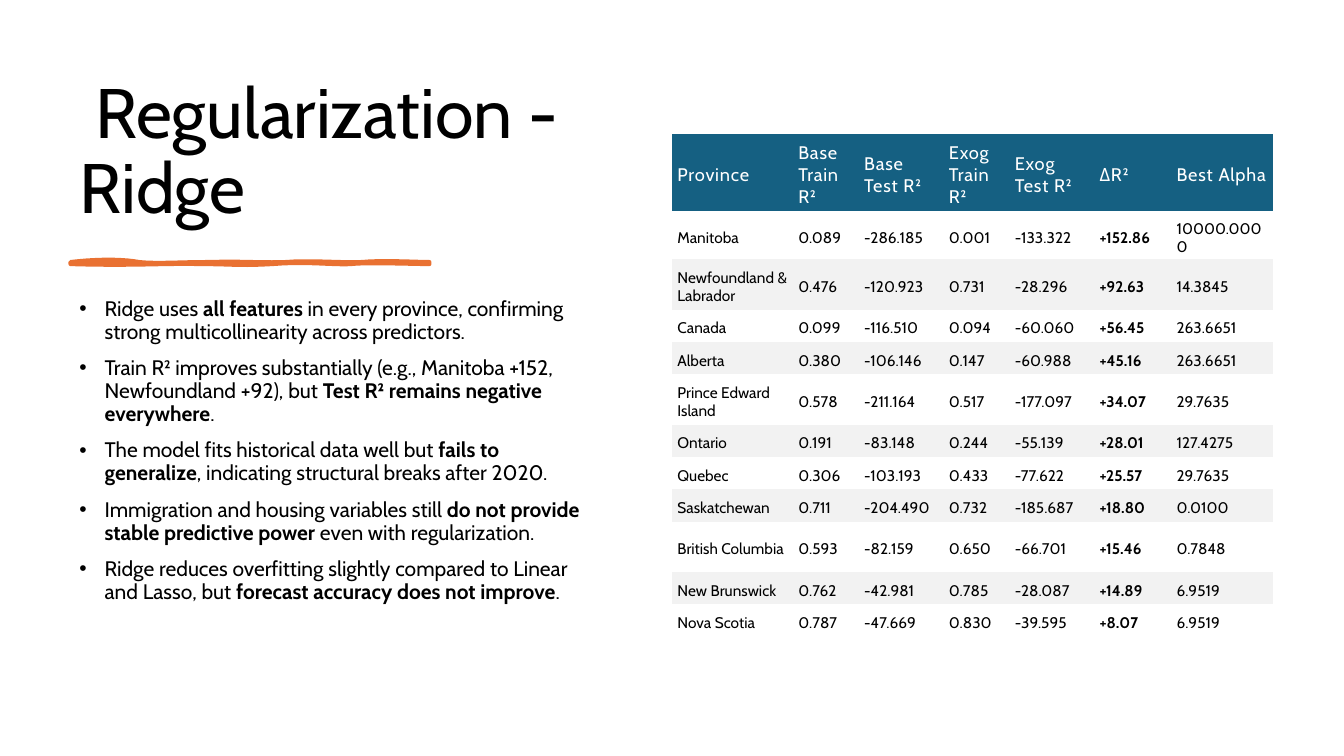
from pptx import Presentation
from pptx.dml.color import RGBColor
from pptx.enum.text import MSO_ANCHOR as Anchor
from pptx.oxml.ns import qn
from pptx.util import Pt

FONT = "Cabin"
BLACK = RGBColor(0x00, 0x00, 0x00)
WHITE = RGBColor(0xFF, 0xFF, 0xFF)
ORANGE = RGBColor(0xE9, 0x71, 0x32)
TEAL = RGBColor(0x15, 0x60, 0x82)
BAND_GREY = RGBColor(0xF2, 0xF2, 0xF2)
PLAIN_TABLE_STYLE = "{2D5ABB26-0587-4C30-8999-92F81FD0307C}"

TITLE = " Regularization - Ridge"

FINDINGS = [
    ("Ridge uses ", "all features",
     " in every province, confirming strong multicollinearity across predictors."),
    ("Train R² improves substantially (e.g., Manitoba +152, Newfoundland +92), but ",
     "Test R² remains negative everywhere", "."),
    ("The model fits historical data well but ", "fails to generalize",
     ", indicating structural breaks after 2020."),
    ("Immigration and housing variables still ", "do not provide stable predictive power",
     " even with regularization."),
    ("Ridge reduces overfitting slightly compared to Linear and Lasso, but ",
     "forecast accuracy does not improve", "."),
]

SCORES = [
    ("Province", "Base Train R²", "Base Test R²", "Exog Train R²", "Exog Test R²", "ΔR²", "Best Alpha"),
    ("Manitoba", "0.089", "-286.185", "0.001", "-133.322", "+152.86", "10000.0000"),
    ("Newfoundland & Labrador", "0.476", "-120.923", "0.731", "-28.296", "+92.63", "14.3845"),
    ("Canada", "0.099", "-116.510", "0.094", "-60.060", "+56.45", "263.6651"),
    ("Alberta", "0.380", "-106.146", "0.147", "-60.988", "+45.16", "263.6651"),
    ("Prince Edward Island", "0.578", "-211.164", "0.517", "-177.097", "+34.07", "29.7635"),
    ("Ontario", "0.191", "-83.148", "0.244", "-55.139", "+28.01", "127.4275"),
    ("Quebec", "0.306", "-103.193", "0.433", "-77.622", "+25.57", "29.7635"),
    ("Saskatchewan", "0.711", "-204.490", "0.732", "-185.687", "+18.80", "0.0100"),
    ("British Columbia", "0.593", "-82.159", "0.650", "-66.701", "+15.46", "0.7848"),
    ("New Brunswick", "0.762", "-42.981", "0.785", "-28.087", "+14.89", "6.9519"),
    ("Nova Scotia", "0.787", "-47.669", "0.830", "-39.595", "+8.07", "6.9519"),
]
COLUMN_WIDTHS = (86.4, 47, 60.6, 47, 60.6, 55, 73)
HEADER_HEIGHT, ROW_HEIGHT, TALL_HEIGHT = 55.2, 23.1, 36
TALL_PROVINCES = ("Newfoundland & Labrador", "Prince Edward Island", "British Columbia")
DELTA_COLUMN = SCORES[0].index("ΔR²")

BRUSH_START = (50.4, 187.2)
BRUSH_CURVES = [
    ((69.8, 185), (87.1, 185), (99.4, 187.2)),
    ((111.6, 188.6), (127.4, 187.2), (150.5, 187.2)),
    ((173.5, 186.5), (187.2, 187.9), (204.5, 187.2)),
    ((221.8, 185.8), (244.1, 187.9), (258.5, 187.2)),
    ((272.9, 185.8), (296.6, 187.2), (306.7, 187.2)),
    ((306.7, 187.2), (306.7, 187.9), (306.7, 188.6)),
    ((293.8, 188.6), (262.1, 187.2), (250.6, 188.6)),
    ((239, 189.4), (218.9, 186.5), (194.4, 188.6)),
    ((169.2, 190), (166.3, 188.6), (143.3, 188.6)),
    ((119.5, 187.9), (95, 190), (50.4, 188.6)),
]
CURVE_STEPS = 10


def style(run, size, color, bold=False):
    run.font.name = FONT
    run.font.size = Pt(size)
    run.font.color.rgb = color
    run.font.bold = bold


def add_text_box(slide, top, height):
    frame = slide.shapes.add_textbox(Pt(49.7), Pt(top), Pt(379.4), Pt(height)).text_frame
    frame.word_wrap = True
    return frame


def add_title(slide):
    frame = add_text_box(slide, 50.4, 116.6)
    frame.vertical_anchor = Anchor.BOTTOM
    frame.text = TITLE
    heading = frame.paragraphs[0]
    heading.line_spacing = 0.9
    style(heading.runs[0], 50, BLACK)


def curve_points(start, curves):
    for first, second, end in curves:
        for step in range(1, CURVE_STEPS + 1):
            t = step / CURVE_STEPS
            u = 1 - t
            yield tuple(
                Pt(u**3 * a + 3 * u * u * t * b + 3 * u * t * t * c + t**3 * d)
                for a, b, c, d in zip(start, first, second, end)
            )
        start = end


def add_brush_line(slide):
    x, y = BRUSH_START
    outline = slide.shapes.build_freeform(Pt(x), Pt(y))
    outline.add_line_segments(curve_points(BRUSH_START, BRUSH_CURVES), close=True)
    brush = outline.convert_to_shape()
    brush.shadow.inherit = False
    brush.fill.solid()
    brush.fill.fore_color.rgb = ORANGE
    brush.line.color.rgb = ORANGE
    brush.line.width = Pt(3)


def add_findings(slide):
    frame = add_text_box(slide, 209.5, 279.4)
    for index, parts in enumerate(FINDINGS):
        finding = frame.paragraphs[0] if index == 0 else frame.add_paragraph()
        finding.line_spacing = 0.9
        finding.space_before = Pt(10)
        props = finding._p.get_or_add_pPr()
        props.set("marL", str(Pt(18)))
        props.set("indent", str(Pt(-18)))
        bullet_font = props.makeelement(qn("a:buFont"), {"typeface": "Arial"})
        bullet = props.makeelement(qn("a:buChar"), {"char": "•"})
        props.extend([bullet_font, bullet])
        for position, part in enumerate(parts):
            run = finding.add_run()
            run.text = part
            style(run, 15, BLACK, bold=position == 1)


def row_height(row, province):
    if row == 0:
        return HEADER_HEIGHT
    return TALL_HEIGHT if province in TALL_PROVINCES else ROW_HEIGHT


def fill_cell(cell, text, row, column):
    cell.text = text
    cell.vertical_anchor = Anchor.MIDDLE
    cell.margin_left = cell.margin_right = Pt(3.9)
    cell.margin_top, cell.margin_bottom = Pt(5.6), Pt(2.2)
    run = cell.text_frame.paragraphs[0].runs[0]
    if row == 0:
        style(run, 13, WHITE)
        run.font._element.set("spc", "60")
    else:
        style(run, 11, BLACK, bold=column == DELTA_COLUMN)
    if row % 2:
        cell.fill.background()
    else:
        cell.fill.solid()
        cell.fill.fore_color.rgb = BAND_GREY if row else TEAL


def add_scores(slide):
    heights = [row_height(row, record[0]) for row, record in enumerate(SCORES)]
    scores = slide.shapes.add_table(
        len(SCORES), len(COLUMN_WIDTHS), Pt(480), Pt(95.8),
        Pt(sum(COLUMN_WIDTHS)), Pt(sum(heights)),
    ).table
    scores.first_row = scores.horz_banding = False
    scores._tbl.tblPr.find(qn("a:tableStyleId")).text = PLAIN_TABLE_STYLE
    for column, width in zip(scores.columns, COLUMN_WIDTHS):
        column.width = Pt(width)
    for row, record in enumerate(SCORES):
        scores.rows[row].height = Pt(heights[row])
        for column, text in enumerate(record):
            fill_cell(scores.cell(row, column), text, row, column)


def main():
    deck = Presentation()
    deck.slide_width, deck.slide_height = Pt(960), Pt(540)
    slide = deck.slides.add_slide(deck.slide_layouts[6])
    add_title(slide)
    add_brush_line(slide)
    add_findings(slide)
    add_scores(slide)
    deck.save("out.pptx")


if __name__ == "__main__":
    main()
